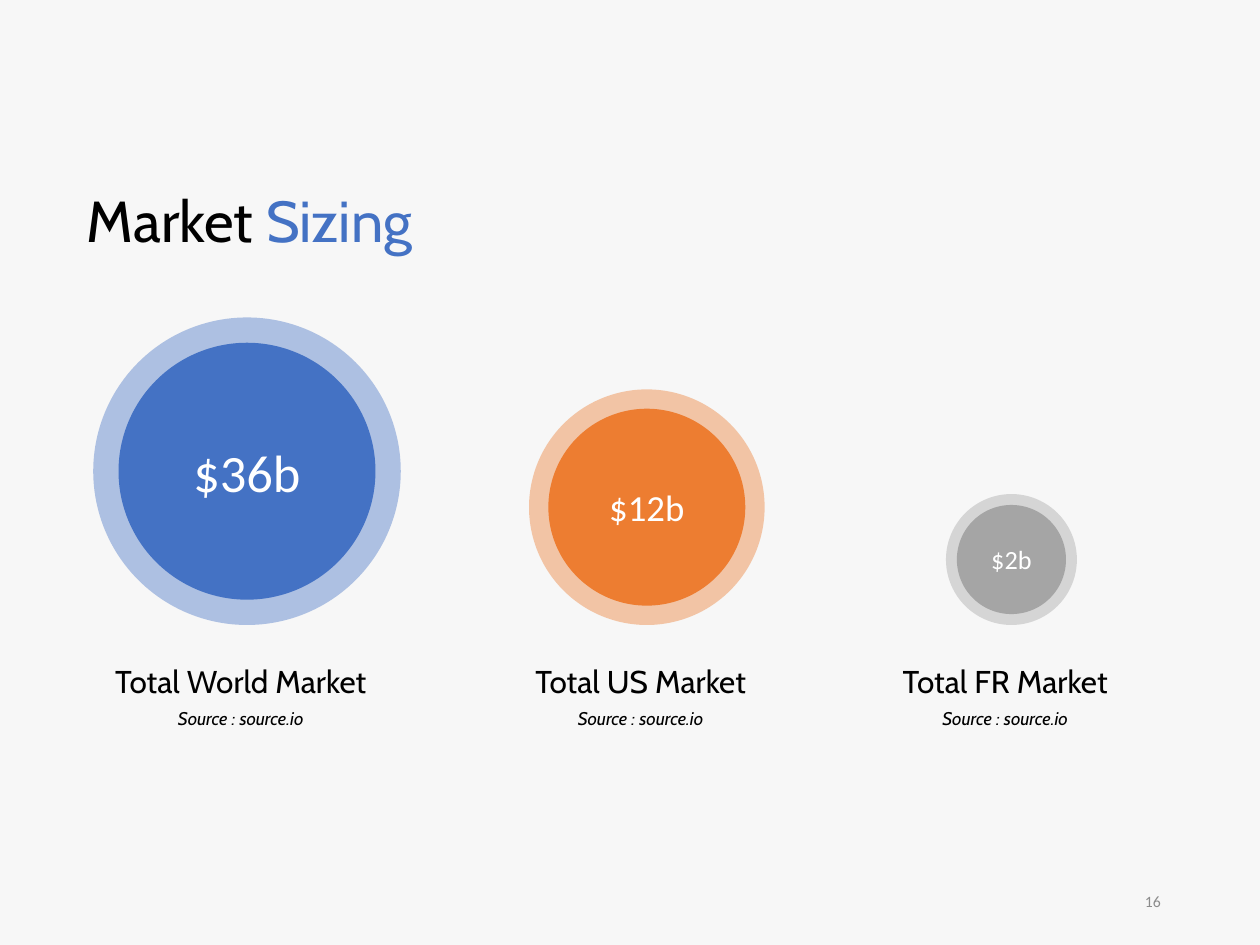
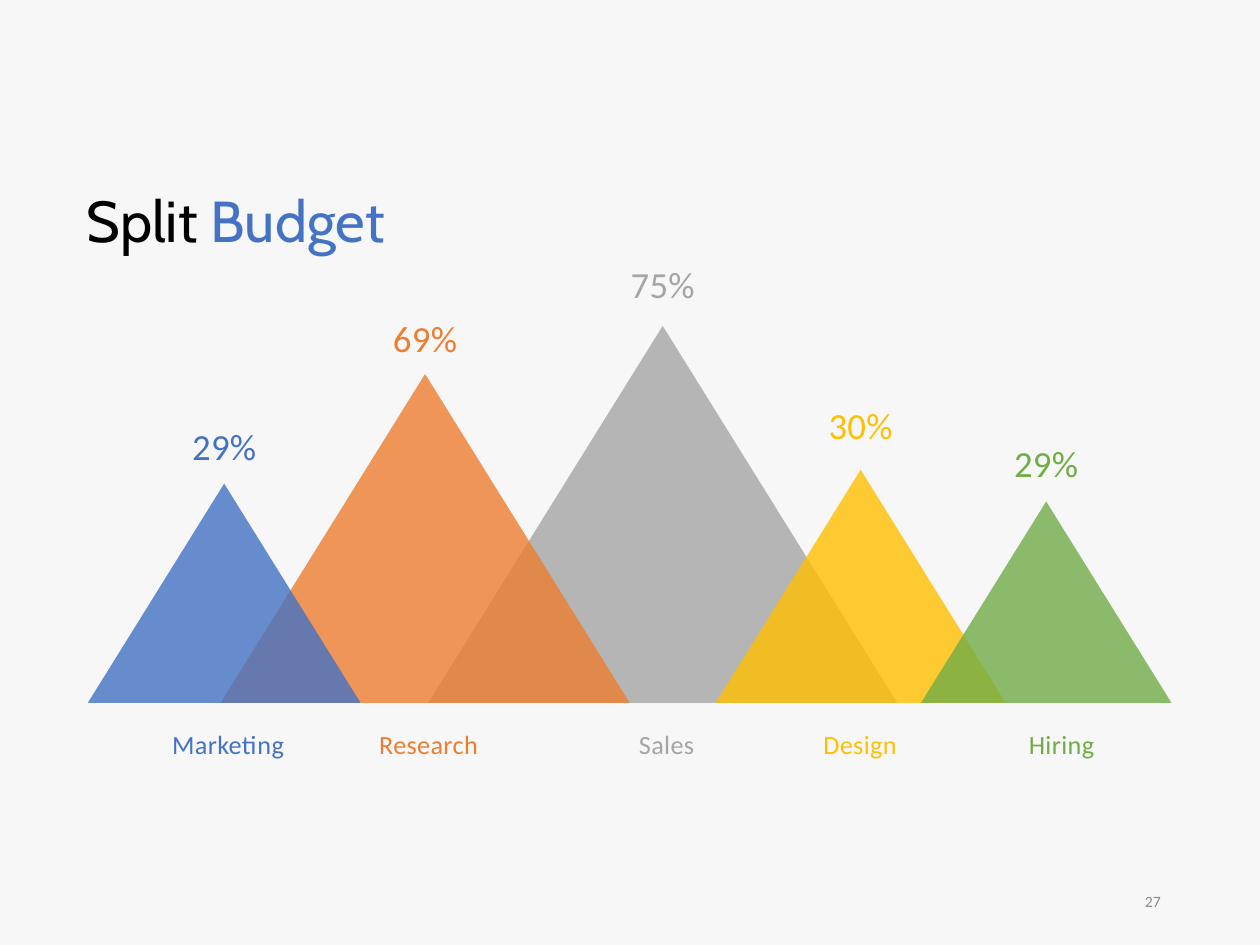
from lxml import etree
from pptx import Presentation
from pptx import util as u
from pptx.dml import color
from pptx.enum import shapes, text
from pptx.oxml import ns

# Shared look
BACKGROUND = "F7F7F7"
BLACK, WHITE, MUTED = "000000", "FFFFFF", "8C8C8C"
BLUE, ORANGE, GRAY, YELLOW, GREEN = "4472C4", "ED7D31", "A5A5A5", "FFC000", "70AD47"
HEADING_FONT, BODY_FONT = "Cabin", "Calibri"
FLUSH_LEFT = 0
DEFAULT_INSET = 0.25

# Market circles: value, value size, name, colour, centre x, outer and inner diameter
MARKETS = [
    ("$36b", 30, "Total World Market", BLUE, 4.98, 6.2, 5.18),
    ("$12b", 21, "Total US Market", ORANGE, 13.04, 4.75, 3.97),
    ("$2b", 15, "Total FR Market", GRAY, 20.39, 2.64, 2.2),
]
CIRCLE_BASE = 12.6

# Budget peaks, back to front: name, share, colour, apex x, height,
# top of the share, centre and width of the name
BUDGETS = [
    ("Sales", "75%", GRAY, 13.36, 7.6, 5.16, 13.44, 1.68),
    ("Design", "30%", YELLOW, 17.35, 4.7, 8.0, 17.34, 2.11),
    ("Research", "69%", ORANGE, 8.57, 6.63, 6.25, 8.64, 2.59),
    ("Marketing", "29%", BLUE, 4.52, 4.42, 8.41, 4.6, 2.84),
    ("Hiring", "29%", GREEN, 21.09, 4.06, 8.76, 21.4, 1.9),
]
PEAK_BASE = 14.17
PEAK_RATIO = 1.244


def rgb(hex_code):
    return color.RGBColor.from_string(hex_code)


def add_span(para, words, size, hex_code, font=BODY_FONT, italic=False, spacing=0):
    span = para.add_run()
    span.text = words
    span.font.size = u.Pt(size)
    span.font.name = font
    span.font.italic = italic
    span.font.color.rgb = rgb(hex_code)
    if spacing:
        span.font._element.set("spc", str(round(spacing * 100)))


def add_text(page, left, top, width, height, align=text.PP_ALIGN.LEFT,
             anchor=text.MSO_ANCHOR.TOP, inset=DEFAULT_INSET, wrap=True, line=1.0):
    """Add an empty text box and return its first paragraph."""
    box = page.shapes.add_textbox(u.Cm(left), u.Cm(top), u.Cm(width), u.Cm(height))
    frame = box.text_frame
    frame.word_wrap = wrap
    frame.vertical_anchor = anchor
    frame.margin_left = u.Cm(inset)
    para = frame.paragraphs[0]
    para.alignment = align
    para.line_spacing = line
    return para


def add_centred(page, centre, top, width, height, **options):
    return add_text(page, centre - width / 2, top, width, height,
                    align=text.PP_ALIGN.CENTER, **options)


def add_figure(parent, kind, centre, top, width, height, hex_code, opacity=100):
    """Add a flat preset shape centred on a vertical axis."""
    figure = parent.shapes.add_shape(kind, u.Cm(centre - width / 2), u.Cm(top),
                                     u.Cm(width), u.Cm(height))
    figure.shadow.inherit = False
    figure.fill.solid()
    figure.fill.fore_color.rgb = rgb(hex_code)
    figure.line.fill.background()
    if opacity < 100:
        fill_color = figure._element.spPr.find(".//" + ns.qn("a:srgbClr"))
        etree.SubElement(fill_color, ns.qn("a:alpha"), val=str(opacity * 1000))
    return figure


def add_page(deck, first_word, second_word, number):
    """Start a page with its background, two-colour title and page number."""
    page = deck.slides.add_slide(deck.slide_layouts[6])
    page.background.fill.solid()
    page.background.fill.fore_color.rgb = rgb(BACKGROUND)

    title = add_text(page, 1.75, 3.76, 9.35, 1.52, inset=FLUSH_LEFT, line=0.9)
    add_span(title, first_word + " ", 33, BLACK, HEADING_FONT)
    add_span(title, second_word, 33, BLUE, HEADING_FONT)

    footer = add_text(page, 17.93, 17.65, 5.72, 1.02, align=text.PP_ALIGN.RIGHT,
                      anchor=text.MSO_ANCHOR.MIDDLE)
    add_span(footer, str(number), 9, MUTED)
    return page


def add_market(page, value, size, name, hex_code, centre, outer, inner):
    # Halo and disc
    group = page.shapes.add_group_shape()
    oval = shapes.MSO_SHAPE.OVAL
    add_figure(group, oval, centre, CIRCLE_BASE - outer, outer, outer, hex_code, 41)
    disc_top = CIRCLE_BASE - (outer + inner) / 2
    disc = add_figure(group, oval, centre, disc_top, inner, inner, hex_code)
    disc.text_frame.vertical_anchor = text.MSO_ANCHOR.MIDDLE
    para = disc.text_frame.paragraphs[0]
    para.alignment = text.PP_ALIGN.CENTER
    add_span(para, value, size, WHITE)

    # Caption and source
    caption = add_centred(page, centre, 13.06, 5.38, 1.09, inset=FLUSH_LEFT, line=1.2)
    add_span(caption, name, 18, BLACK, HEADING_FONT)
    source = add_centred(page, centre, 14.05, 5.38, 0.74, inset=FLUSH_LEFT, line=1.2)
    add_span(source, "Source : source.io", 10.5, BLACK, HEADING_FONT, italic=True)


def add_budget(page, name, share, hex_code, apex, height, share_top, name_centre, name_width):
    add_figure(page, shapes.MSO_SHAPE.ISOSCELES_TRIANGLE, apex, PEAK_BASE - height,
               height * PEAK_RATIO, height, hex_code, 80)
    share_para = add_centred(page, apex, share_top, 1.9, 1.14,
                             anchor=text.MSO_ANCHOR.BOTTOM, wrap=False)
    add_span(share_para, share, 21, hex_code, spacing=0.2)
    name_para = add_centred(page, name_centre, 14.55, name_width, 0.89, wrap=False)
    add_span(name_para, name, 15, hex_code, spacing=0.2)


def main():
    deck = Presentation()
    deck.slide_width, deck.slide_height = u.Cm(25.4), u.Cm(19.05)

    # Market sizing
    page = add_page(deck, "Market", "Sizing", 16)
    for market in MARKETS:
        add_market(page, *market)

    # Split budget
    page = add_page(deck, "Split", "Budget", 27)
    for budget in BUDGETS:
        add_budget(page, *budget)

    deck.save("out.pptx")


if __name__ == "__main__":
    main()
